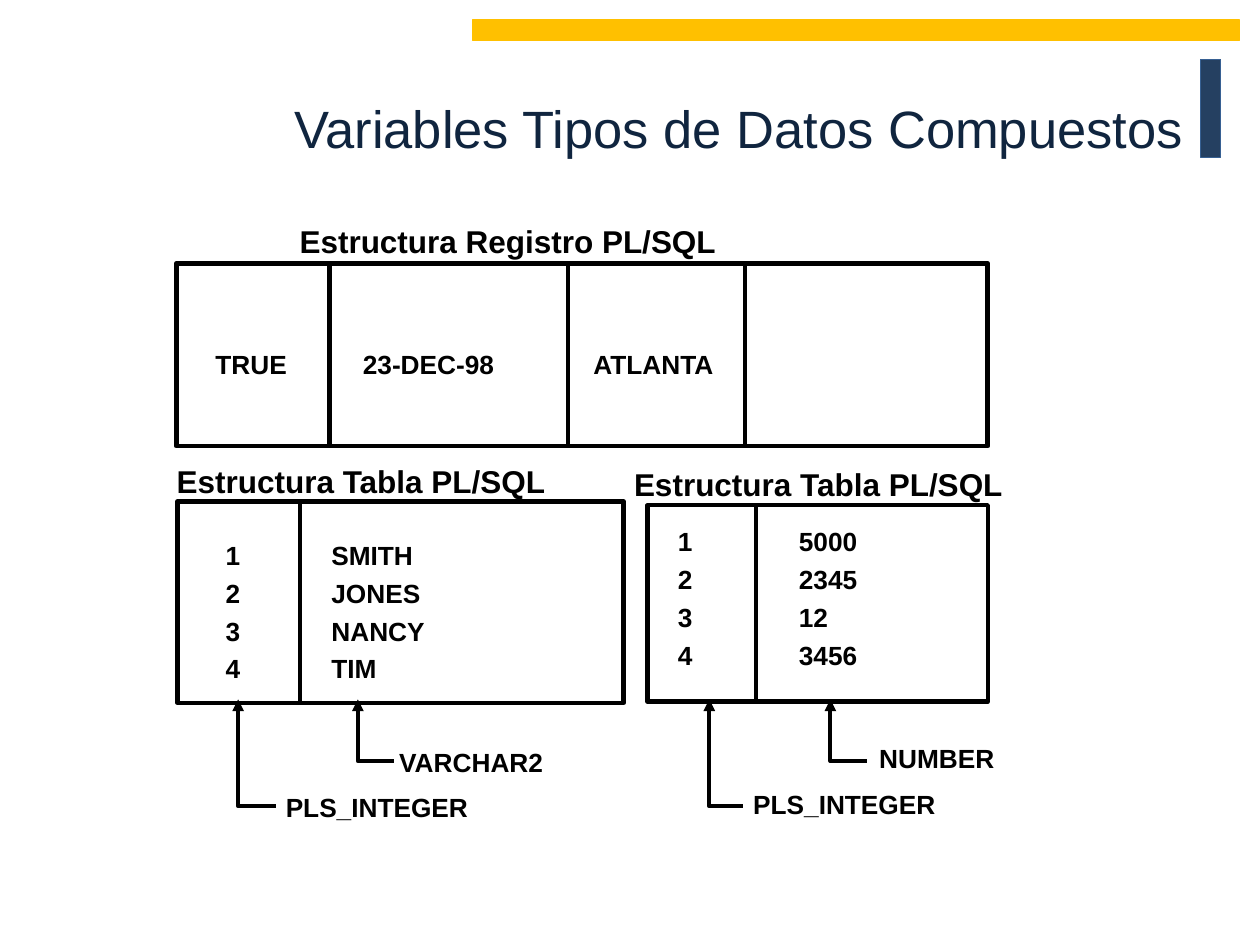
from lxml import etree
from pptx import Presentation
from pptx import util as u
from pptx.dml.color import RGBColor
from pptx.enum import shapes, text
from pptx.oxml import ns

CELL = u.Inches(0.1)
COLUMNS, ROWS = 100, 75
BLACK = RGBColor(0x00, 0x00, 0x00)
NAVY = RGBColor(0x10, 0x25, 0x3F)
SLATE = RGBColor(0x25, 0x40, 0x61)
BLUE = RGBColor(0x37, 0x60, 0x92)
AMBER = RGBColor(0xFF, 0xC0, 0x00)
FONT = "Arial"
LINE_HEIGHT = 1.44
LEFT, CENTER, RIGHT = text.PP_ALIGN.LEFT, text.PP_ALIGN.CENTER, text.PP_ALIGN.RIGHT


def grid(*cells):
    return [round(cell * CELL) for cell in cells]


def add_rectangle(slide, place, line_color, width, fill=None):
    shape = slide.shapes.add_shape(shapes.MSO_SHAPE.RECTANGLE, *grid(*place))
    shape.shadow.inherit = False
    if fill is None:
        shape.fill.background()
    else:
        shape.fill.solid()
        shape.fill.fore_color.rgb = fill
    shape.line.color.rgb = line_color
    shape.line.width = u.Pt(width)


def add_divider(slide, column, top, bottom):
    connector = slide.shapes.add_connector(
        shapes.MSO_CONNECTOR.STRAIGHT, *grid(column, top, column, bottom))
    connector.line.color.rgb = BLACK
    connector.line.width = u.Pt(2.5)
    etree.SubElement(connector._element.spPr, ns.qn("a:effectLst"))


def add_elbow_arrow(slide, column, bottom, reach):
    top = 55.5
    start, corner, end = grid(column, top), grid(column, bottom), grid(column + reach, bottom)
    builder = slide.shapes.build_freeform(*start)
    builder.add_line_segments([corner, end], close=False)
    shape = builder.convert_to_shape()
    shape.shadow.inherit = False
    shape.fill.background()
    shape.line.color.rgb = BLACK
    shape.line.width = u.Pt(2.25)
    etree.SubElement(shape.line._get_or_add_ln(), ns.qn("a:headEnd"), type="triangle")


def add_text(slide, place, lines, size=15, align=LEFT, inset=(1, 0.5), tabs=(), wrap=True):
    shape = slide.shapes.add_textbox(*grid(*place))
    frame = shape.text_frame
    frame.word_wrap = wrap
    frame.margin_left, frame.margin_top = grid(*inset)
    for index, line in enumerate(lines):
        paragraph = frame.paragraphs[0] if index == 0 else frame.add_paragraph()
        paragraph.alignment = align
        paragraph.line_spacing = u.Pt(size * LINE_HEIGHT)
        if tabs:
            tab_list = etree.SubElement(paragraph._p.get_or_add_pPr(), ns.qn("a:tabLst"))
            for position in grid(*tabs):
                etree.SubElement(tab_list, ns.qn("a:tab"), pos=str(position), algn="l")
        run = paragraph.add_run()
        run.text = line
        run.font.name = FONT
        run.font.size = u.Pt(size)
        run.font.bold = True
        run.font.color.rgb = BLACK
    return frame


def add_title(slide, title):
    frame = add_text(slide, (6.7, 2.1, 88.2, 16), [title], 30, RIGHT)
    frame.vertical_anchor = text.MSO_ANCHOR.MIDDLE
    paragraph = frame.paragraphs[0]
    paragraph.line_spacing = 1.0
    font = paragraph.runs[0].font
    font.bold = False
    font.color.rgb = NAVY


def add_record(slide):
    add_text(slide, (21.4, 16.5, 37.8, 3.9), ["Estructura Registro PL/SQL"], 18, CENTER)
    add_rectangle(slide, (14, 20.9, 64.4, 14.5), BLACK, 2.75)
    for column in (26.15, 45.1, 59.15):
        add_divider(slide, column, 21, 35.4)
    add_text(slide, (15.5, 26.4, 43.4, 4.2), ["TRUE\t23-DEC-98\tATLANTA"],
             inset=(1.6, 0.7), tabs=(11.7, 30))


def add_structure(slide, heading_place, frame_place, divider, body_place, inset, tab, values):
    add_text(slide, heading_place, ["Estructura Tabla PL/SQL"], 18, CENTER, wrap=False)
    add_rectangle(slide, frame_place, BLACK, 2.5)
    top, height = frame_place[1], frame_place[3]
    add_divider(slide, divider, top, top + height)
    rows = [f"{number}\t{value}" for number, value in enumerate(values, 1)]
    add_text(slide, body_place, rows, inset=inset, tabs=(tab,))


def main():
    presentation = Presentation()
    presentation.slide_width, presentation.slide_height = grid(COLUMNS, ROWS)
    slide = presentation.slides.add_slide(presentation.slide_layouts[6])

    add_rectangle(slide, (95.3, 4.7, 1.6, 7.8), BLUE, 0.75, SLATE)
    add_rectangle(slide, (37.5, 1.6, 60.9, 1.6), AMBER, 0.75, AMBER)
    add_title(slide, "Variables Tipos de Datos Compuestos")
    add_record(slide)
    add_structure(slide, (12.9, 35.6, 31.5, 4.6), (14.1, 39.8, 35.4, 16), 23.8,
                  (15.3, 40.9, 29.8, 14), (2.6, 1.4), 8.4,
                  ["SMITH", "JONES", "NANCY", "TIM"])
    add_structure(slide, (49.2, 35.8, 31.5, 4.6), (51.4, 40.1, 27, 15.6), 60,
                  (52.4, 40.4, 19.8, 13.2), (1.4, 0.8), 9.6,
                  ["5000", "2345", "12", "3456"])

    for column, bottom, reach in ((28.4, 60.4, 2.9), (65.9, 60.4, 2.9),
                                  (18.9, 64, 3), (56.3, 64, 2.7)):
        add_elbow_arrow(slide, column, bottom, reach)
    for label, left, top, width in (("PLS_INTEGER", 21.7, 61.8, 17),
                                    ("VARCHAR2", 30.7, 58.2, 22),
                                    ("PLS_INTEGER", 58.8, 61.6, 17),
                                    ("NUMBER", 68.8, 57.9, 12)):
        add_text(slide, (left, top, width, 4.2), [label])

    presentation.save("out.pptx")


if __name__ == "__main__":
    main()
